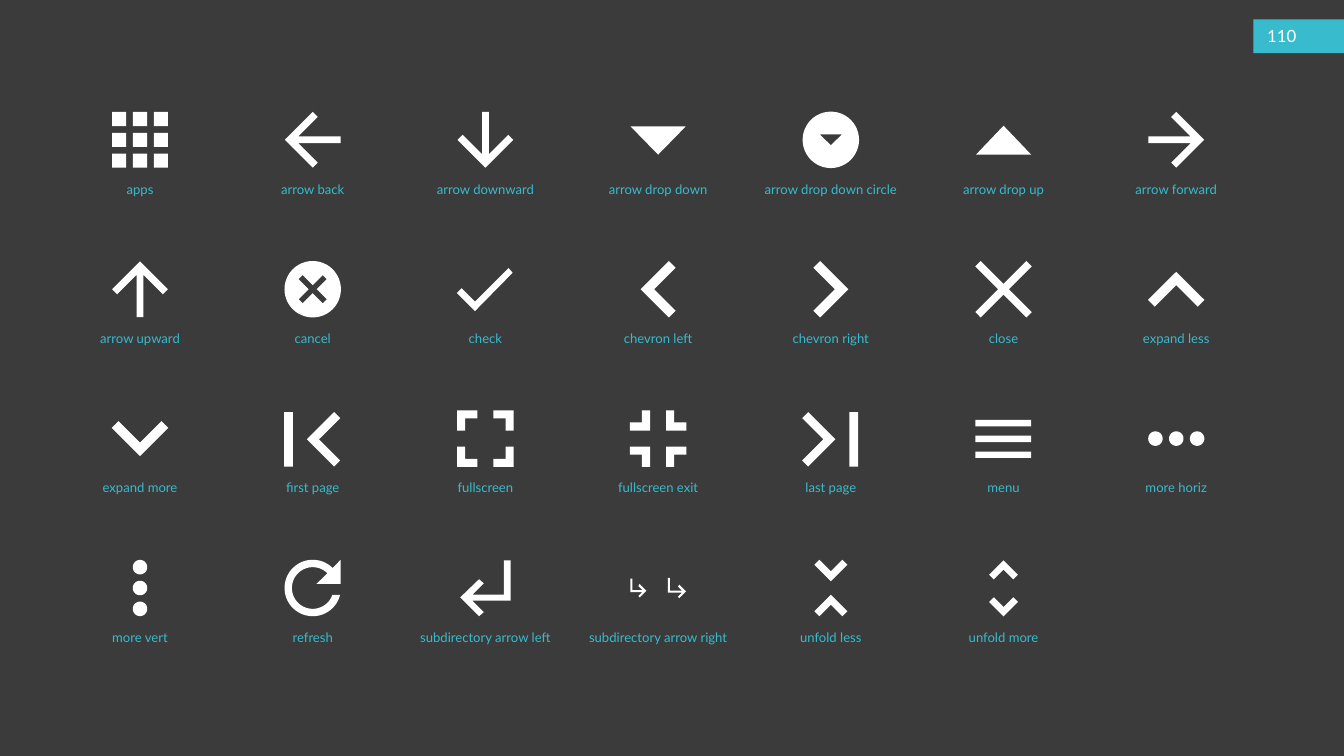
from dataclasses import dataclass
from math import cos, radians, sin

from pptx import Presentation
from pptx.dml.color import RGBColor
from pptx.enum.shapes import MSO_SHAPE as Preset
from pptx.enum.text import MSO_ANCHOR as Anchor, MSO_AUTO_SIZE as AutoSize, PP_ALIGN as Align
from pptx.util import Inches, Pt

WIDTH, HEIGHT = Inches(20), Inches(11.25)
COLUMNS = 7
COLORS = {"background": "3B3B3B", "accent": "37BBCD", "icon": "FFFFFF"}

# Icons are outlines around their own centre, in hundredths of an inch.
UNIT = Inches(0.01)
FINE = 100  # keeps fractions of a unit when the outline is rounded

Point = tuple[float, float]
Outline = list[Point]


@dataclass
class Icon:
    label: str
    outlines: list[Outline]


@dataclass
class Grid:
    """Centres of the first icon and steps to the next, as shares of the slide."""
    left: float = 0.1042
    top: float = 0.185
    column: float = 0.1285
    row: float = 0.1976

    def centre(self, index: int) -> tuple[int, int]:
        row, column = divmod(index, COLUMNS)
        return (round(WIDTH * (self.left + column * self.column)),
                round(HEIGHT * (self.top + row * self.row)))


def turn(outline: Outline, quarters: int) -> Outline:
    """Rotate clockwise by quarter turns."""
    for _ in range(quarters):
        outline = [(-y, x) for x, y in outline]
    return outline


def shift(outline: Outline, dx: float, dy: float) -> Outline:
    return [(x + dx, y + dy) for x, y in outline]


def box(left: float, top: float, right: float, bottom: float) -> Outline:
    return [(left, top), (right, top), (right, bottom), (left, bottom)]


def arc(radius: float, start: float, end: float, steps: int = 48) -> Outline:
    angles = [radians(start + (end - start) * i / steps) for i in range(steps + 1)]
    return [(radius * cos(a), radius * sin(a)) for a in angles]


def circle(radius: float) -> Outline:
    return arc(radius, 0, 360)[:-1]


def chevron(reach: float, thickness: float, quarters: int = 0) -> Outline:
    """A chevron pointing left before it is turned."""
    tip = -(reach + thickness) / 2
    upper = [(tip + reach + thickness, thickness - reach), (tip + reach, -reach)]
    lower = [(x, -y) for x, y in reversed(upper)]
    return turn([*upper, (tip, 0), *lower, (tip + 2 * thickness, 0)], quarters)


def arrow(quarters: int) -> Outline:
    """An arrow pointing left before it is turned."""
    upper = [(41.5, -5), (-21.5, -5), (7.5, -34), (0, -41.5)]
    lower = [(x, -y) for x, y in reversed(upper)]
    return turn([*upper, (-41.5, 0), *lower], quarters)


def cross(tip: float, inner: float) -> Outline:
    arm = [(tip, -inner), (inner, -tip), (0, inner - tip)]
    return [point for quarters in (0, 3, 2, 1) for point in turn(arm, quarters)]


def triangle(half: float, top: float, bottom: float) -> Outline:
    return [(-half, top), (half, top), (0, bottom)]


def hook(shaft: float, rise: float) -> Outline:
    """A small bent arrow whose tip is at the centre."""
    return [(0, 0), (-10, 10), (-12, 8), (-6, 2), (-shaft, 2), (-shaft, -rise),
            (3 - shaft, -rise), (3 - shaft, -1), (-6, -1), (-12, -7), (-10, -10)]


def four_corners(corner: Outline) -> list[Outline]:
    return [turn(corner, quarters) for quarters in range(4)]


STEPS = (-31, 0, 31)
LEFT, UP, RIGHT, DOWN = range(4)
CHECK = [(-15.5, 18.5), (-35.5, -1.5), (-42.5, 5.5), (-15.5, 32.5), (40.5, -24.5), (34.5, -31.5)]
CORNER_OUT = [(-42, -12), (-30, -12), (-30, -30), (-12, -30), (-12, -42), (-42, -42)]
CORNER_IN = [(-24, -24), (-42, -24), (-42, -12), (-12, -12), (-12, -42), (-24, -42)]
REFRESH = [*arc(42, -45, -346), *arc(31, -341, -45), (5.5, -6), (41.5, -6), (41.5, -42)]
RETURN = [(-9.5, -13), (-2.5, -7), (-19.5, 10), (27.5, 10), (27.5, -41), (37.5, -41),
          (37.5, 19), (-19.5, 19), (-2.5, 36), (-9.5, 42), (-37.5, 14)]

ICONS = [
    Icon("apps", [shift(box(-10.5, -10.5, 10.5, 10.5), x, y) for y in STEPS for x in STEPS]),
    Icon("arrow back", [arrow(LEFT)]),
    Icon("arrow downward", [arrow(DOWN)]),
    Icon("arrow drop down", [triangle(41, -20, 22)]),
    Icon("arrow drop down circle", [circle(42), triangle(16.5, -8, 8)]),
    Icon("arrow drop up", [triangle(41, 22, -21)]),
    Icon("arrow forward", [arrow(RIGHT)]),
    Icon("arrow upward", [arrow(UP)]),
    Icon("cancel", [circle(42), cross(21, 15)]),
    Icon("check", [CHECK]),
    Icon("chevron left", [chevron(42, 10, LEFT)]),
    Icon("chevron right", [chevron(42, 10, RIGHT)]),
    Icon("close", [cross(42, 34)]),
    Icon("expand less", [chevron(42, 10, UP)]),
    Icon("expand more", [chevron(42, 10, DOWN)]),
    Icon("first page", [shift(chevron(40.5, 9, LEFT), 16, 1), box(-42.5, -39.5, -29.5, 41.5)]),
    Icon("fullscreen", four_corners(CORNER_OUT)),
    Icon("fullscreen exit", four_corners(CORNER_IN)),
    Icon("last page", [shift(chevron(40.5, 9, RIGHT), -18, 1), box(27.5, -39.5, 40.5, 41.5)]),
    Icon("menu", [box(-42, y - 4.75, 41, y + 4.75) for y in (-23, 0.5, 24)]),
    Icon("more horiz", [shift(circle(10.75), x, 0) for x in STEPS]),
    Icon("more vert", [shift(circle(10.75), 0, y) for y in STEPS]),
    Icon("refresh", [REFRESH]),
    Icon("subdirectory arrow left", [RETURN]),
    Icon("subdirectory arrow right", [shift(hook(24, 18), -17.5, 4), shift(hook(27, 20), 41.5, 5)]),
    Icon("unfold less", [shift(chevron(24.5, 7.5, DOWN), 0, -26), shift(chevron(24.5, 7.5, UP), 0, 26)]),
    Icon("unfold more", [shift(chevron(21.5, 7, UP), 0, -27), shift(chevron(21.5, 7, DOWN), 0, 28)]),
]


def paint(shape, color: str) -> None:
    """Flat fill with neither line nor shadow."""
    shape.fill.solid()
    shape.fill.fore_color.rgb = RGBColor.from_string(COLORS[color])
    shape.line.fill.background()
    shape.shadow.inherit = False


def draw_icon(slide, icon: Icon, x: int, y: int) -> None:
    contours = [[(px * FINE, py * FINE) for px, py in outline] for outline in icon.outlines]
    builder = slide.shapes.build_freeform(*contours[0][0], scale=UNIT / FINE)
    for number, (start, *rest) in enumerate(contours):
        if number:
            builder.move_to(*start)
        builder.add_line_segments(rest, close=True)
    paint(builder.convert_to_shape(x, y), "icon")


def write(slide, text: str, area: tuple[int, int, int, int], size: int, color: str,
          align: Align, frame_format: dict) -> None:
    frame = slide.shapes.add_textbox(*area).text_frame
    for name, value in {"word_wrap": True, **frame_format}.items():
        setattr(frame, name, value)
    paragraph = frame.paragraphs[0]
    paragraph.alignment = align
    run = paragraph.add_run()
    run.text = text
    for name, value in {"name": "Lato", "size": Pt(size)}.items():
        setattr(run.font, name, value)
    run.font.color.rgb = RGBColor.from_string(COLORS[color])


def draw_label(slide, label: str, x: int, y: int) -> None:
    width = round(WIDTH * 0.139)
    area = (x - width // 2, y + round(HEIGHT * 0.05), width, round(HEIGHT * 0.03))
    write(slide, label, area, 14, "accent", Align.CENTER, {"auto_size": AutoSize.SHAPE_TO_FIT_TEXT})


def draw_page_tag(slide, number: str) -> None:
    left, top, height = round(WIDTH * 0.9325), round(HEIGHT * 0.0258), round(HEIGHT * 0.0444)
    paint(slide.shapes.add_shape(Preset.RECTANGLE, left, top, WIDTH - left, height), "accent")
    area = (round(WIDTH * 0.938), round(HEIGHT * 0.025), round(WIDTH * 0.0335), height)
    write(slide, number, area, 18, "icon", Align.LEFT, {"vertical_anchor": Anchor.MIDDLE})


def main() -> None:
    deck = Presentation()
    deck.slide_width, deck.slide_height = WIDTH, HEIGHT
    slide = deck.slides.add_slide(deck.slide_layouts[6])
    slide.background.fill.solid()
    slide.background.fill.fore_color.rgb = RGBColor.from_string(COLORS["background"])

    draw_page_tag(slide, "110")
    grid = Grid()
    for index, icon in enumerate(ICONS):
        centre = grid.centre(index)
        draw_label(slide, icon.label, *centre)
        draw_icon(slide, icon, *centre)
    deck.save("out.pptx")


if __name__ == "__main__":
    main()
